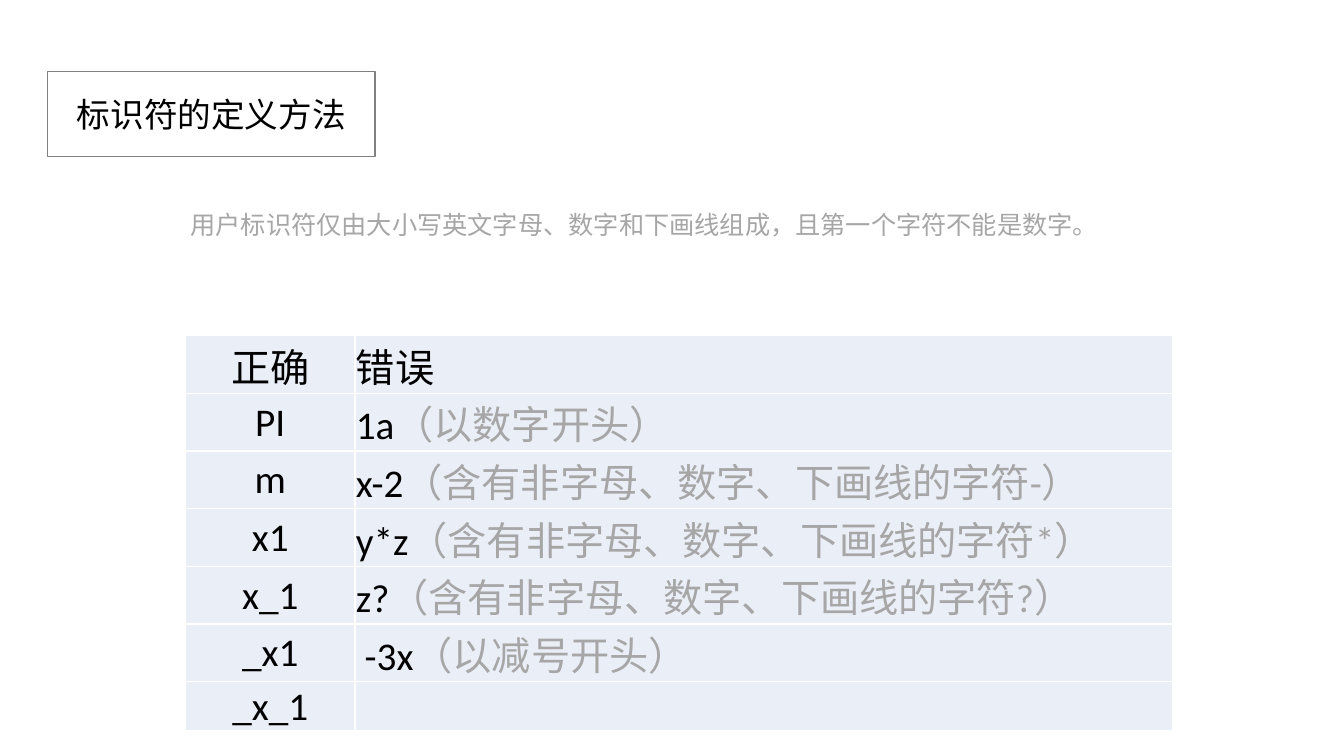
from dataclasses import dataclass

from lxml.etree import SubElement
from pptx import Presentation
from pptx.dml.color import RGBColor as Color
from pptx.enum.text import MSO_ANCHOR as Anchor, MSO_AUTO_SIZE as AutoSize, PP_ALIGN as Align
from pptx.oxml import parse_xml
from pptx.oxml.ns import nsdecls, qn
from pptx.util import Emu, Pt

PX = 9144  # 100 px to the inch


@dataclass(frozen=True)
class Theme:
    ink: Color = Color(0x00, 0x00, 0x00)
    note: Color = Color(0xA6, 0xA6, 0xA6)
    paper: Color = Color(0xFF, 0xFF, 0xFF)
    outline: Color = Color(0x80, 0x80, 0x80)
    cell: Color = Color(0xEA, 0xEF, 0xF7)
    font: str = "Calibri"
    title_font: str = "Noto Sans CJK SC"
    title_size: int = 24
    rule_size: int = 18
    table_size: int = 28


THEME = Theme()
COLUMNS = (168, 811)
ROW_HEIGHT = 49
OTHER_CHARACTER = "（含有非字母、数字、下画线的字符{}）"
IDENTIFIERS = [
    ("正确", "错误", ""),
    ("PI", "1a", "（以数字开头）"),
    ("m", "x-2", OTHER_CHARACTER.format("-")),
    ("x1", "y*z", OTHER_CHARACTER.format("*")),
    ("x_1", "z?", OTHER_CHARACTER.format("?")),
    ("_x1", " -3x", "（以减号开头）"),
    ("_x_1", "", ""),
]


def px(length):
    return Emu(length * PX)


def style(font, size, color, name=THEME.font):
    font.size, font.name = Pt(size), name
    font.color.rgb = color


def set_insets(frame, side, edge):
    frame.margin_left = frame.margin_right = px(side)
    frame.margin_top = frame.margin_bottom = px(edge)


def add_title(page, text, left, top, width, height):
    title = page.shapes.title
    title.left, title.top, title.width, title.height = map(px, (left, top, width, height))
    outline = SubElement(title._element.spPr, qn("a:prstGeom"), prst="roundRect")
    SubElement(outline, qn("a:avLst"))
    title.fill.solid()
    title.fill.fore_color.rgb = THEME.paper
    title.line.color.rgb = THEME.outline
    title.line.width = Pt(1)
    frame = title.text_frame
    frame.auto_size = AutoSize.NONE
    frame.vertical_anchor = Anchor.MIDDLE
    set_insets(frame, 13, 7)
    para = frame.paragraphs[0]
    para.text, para.alignment = text, Align.CENTER
    style(para.font, THEME.title_size, THEME.ink, THEME.title_font)


def add_rule(page, text, left, top, width, height):
    box = page.shapes.add_textbox(*map(px, (left, top, width, height)))
    frame = box.text_frame
    frame.word_wrap = True
    frame.auto_size = AutoSize.SHAPE_TO_FIT_TEXT
    set_insets(frame, 13, 7)
    para = frame.paragraphs[0]
    para.text, para.line_spacing = text, 1.5
    style(para.font, THEME.rule_size, THEME.note)


def add_borders(cell):
    properties = cell._tc.get_or_add_tcPr()
    for index, side in enumerate(("lnL", "lnR", "lnT", "lnB")):
        properties.insert(index, parse_xml(
            f'<a:{side} {nsdecls("a")} w="{Pt(1)}"><a:solidFill>'
            f'<a:srgbClr val="{THEME.paper}"/></a:solidFill></a:{side}>'))


def fill_cell(cell, spans, alignment):
    """Write (text, colour) spans into a bordered, tinted cell."""
    cell.fill.solid()
    cell.fill.fore_color.rgb = THEME.cell
    add_borders(cell)
    cell.vertical_anchor = Anchor.MIDDLE
    cell.margin_left = cell.margin_right = cell.margin_top = px(1)
    cell.margin_bottom = 0
    para = cell.text_frame.paragraphs[0]
    para.alignment = alignment
    for text, color in spans:
        if text:
            span = para.add_run()
            span.text = text
            style(span.font, THEME.table_size, color)


def add_identifier_table(page, rows, left, top):
    size = sum(COLUMNS), ROW_HEIGHT * len(rows)
    table = page.shapes.add_table(len(rows), len(COLUMNS), *map(px, (left, top, *size))).table
    table.first_row = table.horz_banding = False
    for column, width in zip(table.columns, COLUMNS):
        column.width = px(width)
    for row, (valid, invalid, reason) in zip(table.rows, rows):
        row.height = px(ROW_HEIGHT)
        fill_cell(row.cells[0], [(valid, THEME.ink)], Align.CENTER)
        fill_cell(row.cells[1], [(invalid, THEME.ink), (reason, THEME.note)], Align.LEFT)


def main():
    deck = Presentation()
    deck.slide_width, deck.slide_height = px(1333), px(750)
    page = deck.slides.add_slide(deck.slide_layouts.get_by_name("Title Only"))
    add_identifier_table(page, IDENTIFIERS, 184, 333)
    add_title(page, "标识符的定义方法", 47, 71, 325, 84)
    add_rule(page, "用户标识符仅由大小写英文字母、数字和下画线组成，且第一个字符不能是数字。",
             176, 186, 997, 59)
    deck.save("out.pptx")


if __name__ == "__main__":
    main()
